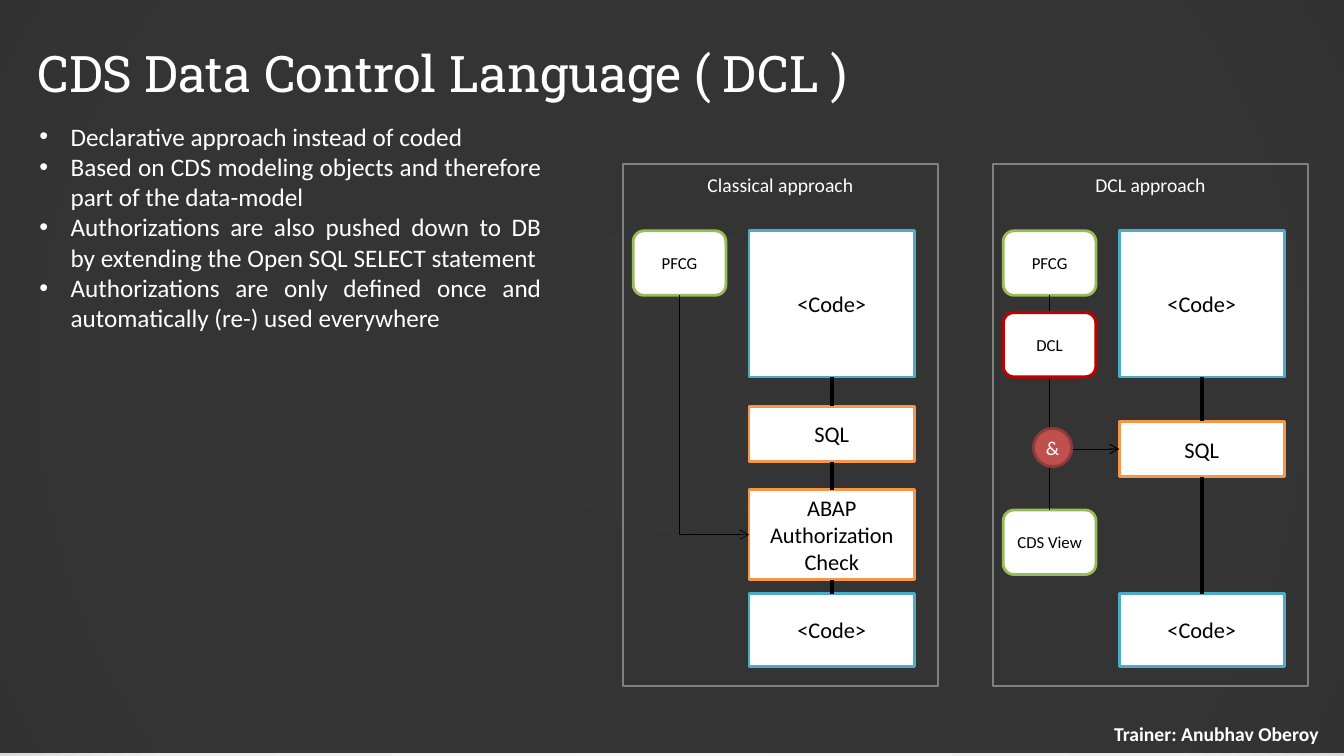
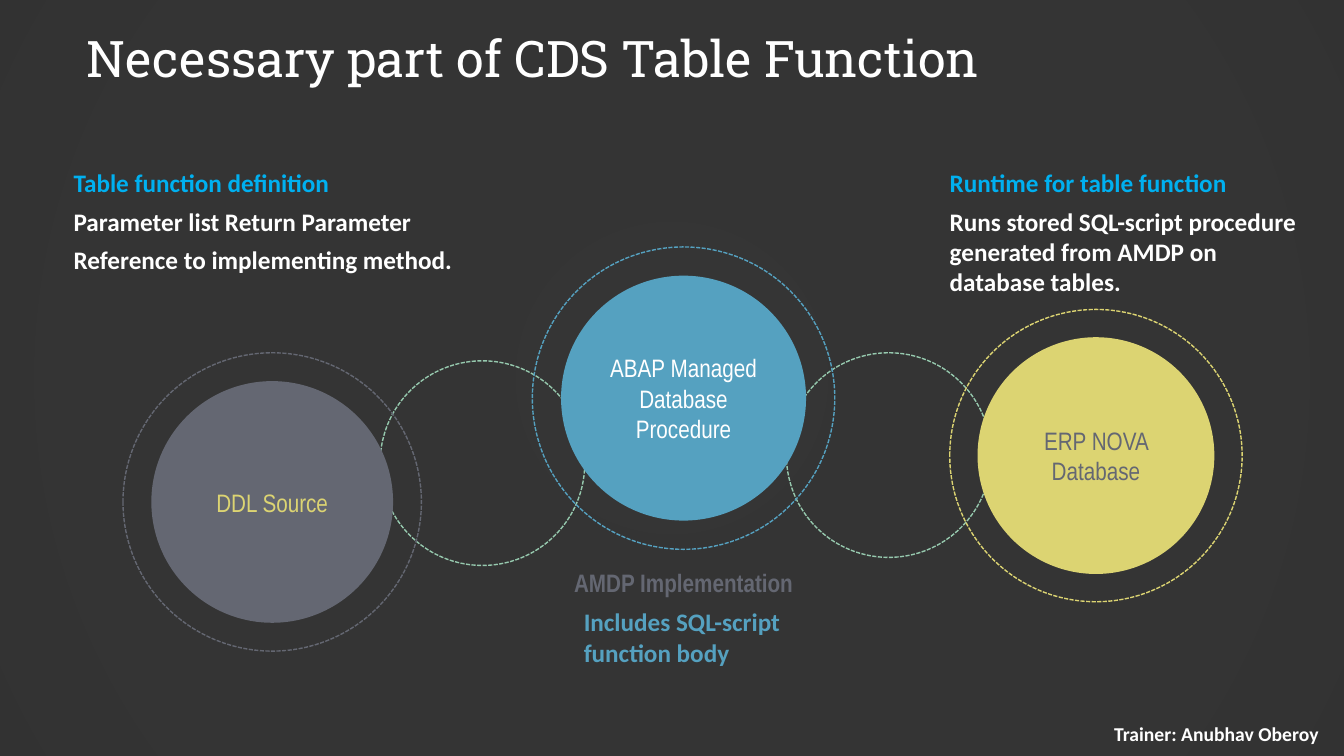
from dataclasses import dataclass

from lxml.etree import SubElement
from pptx import Presentation
from pptx.dml.color import RGBColor
from pptx.enum.dml import MSO_LINE
from pptx.enum.shapes import MSO_CONNECTOR as Connector, MSO_SHAPE as Shape
from pptx.enum.text import MSO_ANCHOR as Anchor, MSO_AUTO_SIZE as AutoSize, PP_ALIGN as Align
from pptx.oxml import parse_xml
from pptx.oxml.ns import nsdecls, qn
from pptx.util import Inches, Pt

CELL = 0.1
BODY_FONT, TITLE_FONT, NARROW_FONT = "Calibri", "Roboto Slab", "Arial Narrow"
WHITE, BLACK, VEIL, FRAME = "FFFFFF", "000000", "262626", "808080"
GREEN, ORANGE, CYAN, RED = "9BBB59", "F79646", "4BACC6", "C00000"
JOIN_FILL, JOIN_LINE = "C0504D", "8E3B39"
HEADING, SLATE, BLUE, YELLOW, MINT = "00B0F0", "646772", "55A1C0", "DCD472", "96C9AE"
TITLE_INSETS = (0.13, 0.07, 0.13, 0.07)
NODE_INSETS = (0.1, 0.08, 0.1, 0.08)
FRAME_INSETS = (0.09, 0.09, 0.09, 0.19)
NO_INSETS = (0, 0, 0, 0)
TOP, LEFT, BOTTOM = 0, 1, 2
DISC_SHARE = 0.81


@dataclass
class Box:
    left: float
    top: float
    width: float
    height: float

    def area(self, column, row, columns, rows):
        return Box(self.left + column, self.top + row, columns, rows)

    def lengths(self):
        return [Inches(cells * CELL) for cells in (self.left, self.top, self.width, self.height)]


PAGE = Box(0, 0, 133.3, 75)


def colour(hex_string):
    return RGBColor.from_string(hex_string)


def place(shape, box):
    shape.left, shape.top, shape.width, shape.height = box.lengths()


def write(shape, lines, size, color=WHITE, font=BODY_FONT, bold=False, align=Align.CENTER,
          anchor=Anchor.MIDDLE, insets=NODE_INSETS, gap=0, bullet=False):
    frame = shape.text_frame
    frame.word_wrap = True
    frame.auto_size = AutoSize.NONE
    frame.vertical_anchor = anchor
    frame.margin_left, frame.margin_top, frame.margin_right, frame.margin_bottom = map(Inches, insets)
    for index, line in enumerate(lines):
        text, text_color = line if isinstance(line, tuple) else (line, color)
        paragraph = frame.paragraphs[0] if index == 0 else frame.add_paragraph()
        paragraph.text = text
        paragraph.alignment = align
        paragraph.space_before = Pt(gap if index else 0)
        if bullet:
            properties = paragraph._p.get_or_add_pPr()
            properties.set("marL", str(Inches(0.31)))
            properties.set("indent", str(-Inches(0.31)))
            SubElement(properties, qn("a:buFont"), typeface="Arial")
            SubElement(properties, qn("a:buChar"), char="•")
        paragraph.font.size = Pt(size)
        paragraph.font.name = font
        paragraph.font.bold = bold
        paragraph.font.color.rgb = colour(text_color)


def add_figure(slide, kind, box, fill=None, line=None, width=2, dashed=False):
    shape = slide.shapes.add_shape(kind, *box.lengths())
    shape.shadow.inherit = False
    if fill:
        shape.fill.solid()
        shape.fill.fore_color.rgb = colour(fill)
    else:
        shape.fill.background()
    if line:
        shape.line.color.rgb = colour(line)
        shape.line.width = Pt(width)
        if dashed:
            shape.line.dash_style = MSO_LINE.SQUARE_DOT
    else:
        shape.line.fill.background()
    return shape


def add_note(slide, box, lines, **style):
    write(slide.shapes.add_textbox(*box.lengths()), lines, **style)


def connect(slide, start, start_site, finish, finish_site, width, kind=Connector.STRAIGHT):
    connector = slide.shapes.add_connector(kind, 0, 0, 0, 0)
    connector.begin_connect(start, start_site)
    connector.end_connect(finish, finish_site)
    connector.line.color.rgb = colour(BLACK)
    connector.line.width = Pt(width)
    SubElement(connector.element.spPr, qn("a:effectLst"))
    return connector


def add_elbow_arrow(slide, start, start_site, finish):
    connector = connect(slide, start, start_site, finish, LEFT, 0.5, Connector.ELBOW)
    x, y = connector.begin_x, connector.begin_y
    across, down = connector.end_x - x, connector.end_y - y
    connector.width, connector.height = abs(down), across
    connector.left = x + (across - abs(down)) // 2
    connector.top = y + (down - across) // 2
    properties = connector.element.spPr
    transform = properties.find(qn("a:xfrm"))
    transform.set("rot", str((270 if down > 0 else 90) * 60000))
    transform.set("flipH", "1")
    transform.set("flipV", "0" if down > 0 else "1")
    properties.find(qn("a:prstGeom")).set("prst", "bentConnector2")
    SubElement(properties.find(qn("a:ln")), qn("a:tailEnd"), type="arrow")


def set_background(master):
    master.background.fill.gradient()
    gradient = master.element.find(".//" + qn("a:gradFill"))
    stops = "".join(
        f'<a:gs pos="{share * 1000}"><a:srgbClr val="{color}"/></a:gs>'
        for share, color in ((0, WHITE), (81, "EEEEEE"), (100, "D9D9D9")))
    radial = parse_xml(
        f'<a:gradFill {nsdecls("a")} rotWithShape="1"><a:gsLst>{stops}</a:gsLst><a:path path="circle">'
        '<a:fillToRect l="50000" t="50000" r="50000" b="50000"/></a:path></a:gradFill>')
    gradient.getparent().replace(gradient, radial)


def start_slide(presentation, layout, title, title_box, veil_box):
    slide = presentation.slides.add_slide(presentation.slide_layouts.get_by_name(layout))
    veil = add_figure(slide, Shape.RECTANGLE, veil_box, VEIL)
    SubElement(veil.element.find(".//" + qn("a:srgbClr")), qn("a:alpha"), val="93000")
    slide.shapes.title.element.addprevious(veil.element)
    place(slide.shapes.title, title_box)
    write(slide.shapes.title, [title], 36, font=TITLE_FONT, align=Align.LEFT, insets=TITLE_INSETS)
    add_note(slide, PAGE.area(108.4, 70.8, 24.5, 3.9), ["Trainer: Anubhav Oberoy"],
             size=14, bold=True, insets=TITLE_INSETS)
    return slide


def add_panel(slide, box, heading, steps):
    frame = add_figure(slide, Shape.RECTANGLE, box, line=FRAME, width=1.5)
    write(frame, [heading], 14, anchor=Anchor.TOP, insets=FRAME_INSETS)
    shapes = []
    for text, row, rows, line in steps:
        step = add_figure(slide, Shape.RECTANGLE, box.area(12.5, row, 16.4, rows), WHITE, line)
        write(step, [text], 16, BLACK)
        shapes.append(step)
    for upper, lower in zip(shapes, shapes[1:]):
        connect(slide, upper, BOTTOM, lower, TOP, 3)
    return shapes


def add_source(slide, panel, text, row, line=GREEN, width=2):
    source = add_figure(slide, Shape.ROUNDED_RECTANGLE, panel.area(1, row, 9.2, 6.4), WHITE, line, width)
    write(source, [text], 12, BLACK)
    return source


def add_classical_panel(slide, box):
    steps = add_panel(slide, box, "Classical approach", [
        ("<Code>", 6.6, 14.5, CYAN), ("SQL", 24, 5.5, ORANGE),
        ("ABAP Authorization Check", 32.3, 8.9, ORANGE), ("<Code>", 42.6, 7.2, CYAN)])
    add_elbow_arrow(slide, add_source(slide, box, "PFCG", 6.6), BOTTOM, steps[2])


def add_dcl_panel(slide, box):
    steps = add_panel(slide, box, "DCL approach", [
        ("<Code>", 6.6, 14.5, CYAN), ("SQL", 25.5, 5.5, ORANGE), ("<Code>", 42.6, 7.2, CYAN)])
    add_elbow_arrow(slide, add_source(slide, box, "PFCG", 6.6), BOTTOM, steps[1])
    add_elbow_arrow(slide, add_source(slide, box, "CDS View", 34.3), TOP, steps[1])
    add_source(slide, box, "DCL", 14.7, RED, 2.25)
    join = add_figure(slide, Shape.OVAL, box.area(4, 26.2, 3.8, 3.8), JOIN_FILL, JOIN_LINE)
    write(join, ["&"], 14, insets=NO_INSETS)


def build_control_slide(presentation):
    slide = start_slide(presentation, "Title and Content", "CDS Data Control Language ( DCL )",
                        PAGE.area(2.4, 3.3, 120, 7.8), PAGE.area(0, -0.2, 133.6, 74.9))
    body = slide.placeholders[1]
    place(body, PAGE.area(2.9, 11.5, 51.8, 25.2))
    write(body, ["Declarative approach instead of coded",
                 "Based on CDS modeling objects and therefore part of the data-model",
                 "Authorizations are also pushed down to DB by extending the Open SQL SELECT statement",
                 "Authorizations are only defined once and automatically (re-) used everywhere"],
          18, align=Align.JUSTIFY, anchor=Anchor.TOP, insets=(0.1, 0.05, 0.1, 0.05), bullet=True)
    add_classical_panel(slide, PAGE.area(61.8, 16.3, 31.2, 51.8))
    add_dcl_panel(slide, PAGE.area(98.5, 16.3, 31.2, 51.8))


def add_ring(slide, box, line):
    add_figure(slide, Shape.OVAL, box, line=line, width=1, dashed=True)


def add_disc(slide, box, text, fill, color):
    add_ring(slide, box, fill)
    size = box.width * DISC_SHARE
    margin = (box.width - size) / 2
    disc = add_figure(slide, Shape.OVAL, box.area(margin, margin, size, size), fill)
    write(disc, [text], 18, color, NARROW_FONT)


def add_chain(slide, box):
    for column, row in ((25.5, 11.3), (65.8, 10.5)):
        add_ring(slide, box.area(column, row, 20.3, 20.3), MINT)
    for text, column, row, size, fill, color in (
            ("ERP NOVA Database", 82, 6.2, 29, YELLOW, SLATE),
            ("DDL Source", 0, 10.5, 29.6, SLATE, YELLOW),
            ("ABAP Managed Database Procedure", 40.6, 0, 30, BLUE, WHITE)):
        add_disc(slide, box.area(column, row, size, size), text, fill, color)


def build_function_slide(presentation):
    slide = start_slide(presentation, "Title Only", "Necessary part of CDS Table Function",
                        PAGE.area(7.3, 1.8, 120, 7.8), PAGE.area(0, -0.3, 133.6, 75.3))
    style = dict(size=18, bold=True, anchor=Anchor.TOP, insets=NO_INSETS, gap=6)
    add_note(slide, PAGE.area(7.3, 16.6, 42.6, 10.8),
             [("Table function definition", HEADING), "Parameter list Return Parameter",
              "Reference to implementing method."], align=Align.LEFT, **style)
    add_note(slide, PAGE.area(94.2, 16.6, 35.7, 12),
             [("Runtime for table function", HEADING),
              "Runs stored SQL-script procedure generated from AMDP on database tables."],
             align=Align.LEFT, **style)
    add_chain(slide, PAGE.area(12.2, 24.5, 111, 40.1))
    add_note(slide, PAGE.area(54, 56.3, 27.6, 7.4), ["AMDP Implementation"],
             color=SLATE, font=NARROW_FONT, **style)
    add_note(slide, PAGE.area(57.9, 60.2, 27.6, 7.4), ["Includes SQL-script function body"],
             color=BLUE, align=Align.LEFT, **style)


def main():
    presentation = Presentation()
    presentation.slide_width, presentation.slide_height = PAGE.lengths()[2:]
    set_background(presentation.slide_master)
    build_control_slide(presentation)
    build_function_slide(presentation)
    presentation.save("out.pptx")


if __name__ == "__main__":
    main()
